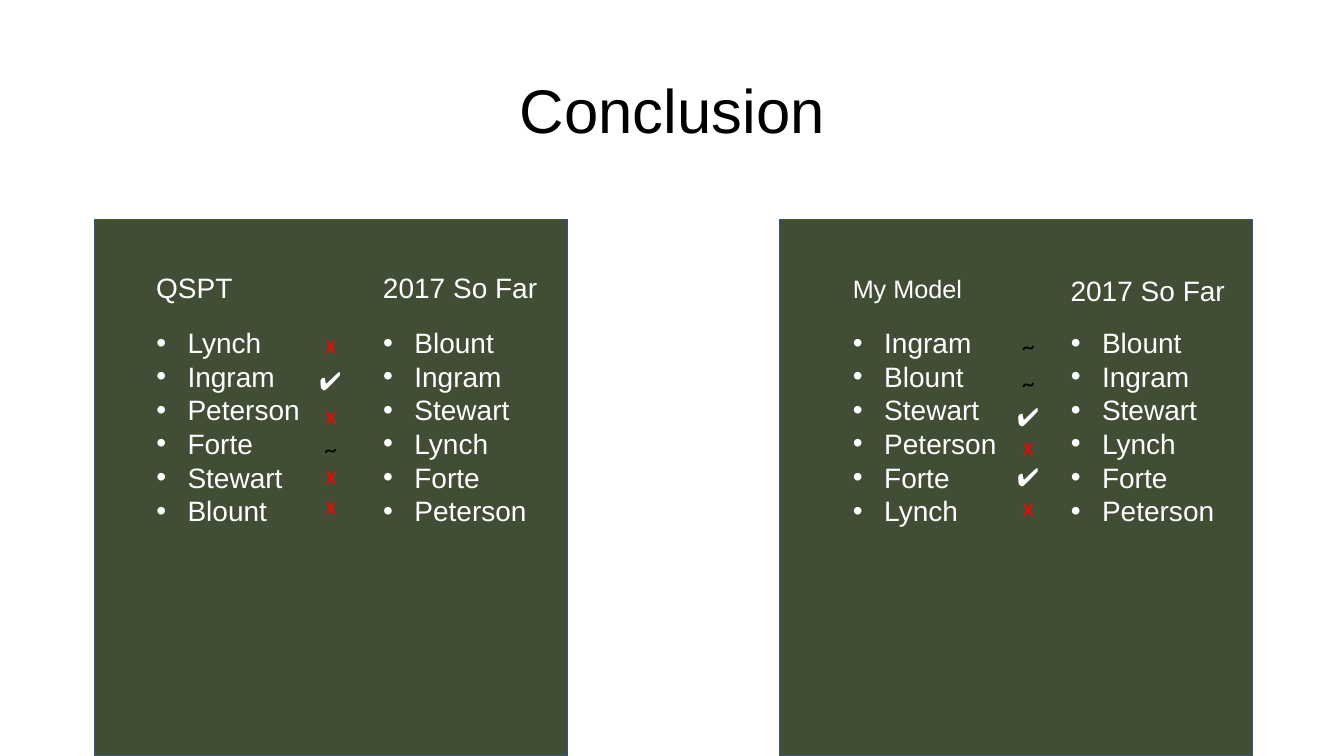
from pptx import Presentation
from pptx.dml.color import RGBColor
from pptx.enum.shapes import MSO_SHAPE as SHAPE
from pptx.enum.text import MSO_ANCHOR as ANCHOR, MSO_AUTO_SIZE as FIT, PP_ALIGN as ALIGN
from pptx.oxml.xmlchemy import OxmlElement
from pptx.util import Inches, Pt

PANEL_TOP, PANEL_W, PANEL_H = 2.18, 4.69, 5.32
LIST_TOP, LIST_W, LIST_H = 3.18, 3.34, 2.12
INDENT = 0.31
WHITE = "FFFFFF"

# Symbol: (colour, offset in the mark column, width)
MARKS = {"x": ("FF0000", 0.06, 0.31), "~": ("000000", 0.05, 0.33), "✔️": (WHITE, 0, 0.48)}
ACTUAL = ["Blount", "Ingram", "Stewart", "Lynch", "Forte", "Peterson"]

# Each panel compares one ranking with the season's actual order
PANELS = [
    dict(left=0.94, rank_x=1.45, mark_x=3.07, actual_x=3.7, head_y=2.63,
         head="QSPT", head_w=0.97, head_size=20,
         ranking=["Lynch", "Ingram", "Peterson", "Forte", "Stewart", "Blount"],
         marks=[("x", 3.21), ("✔️", 3.58), ("x", 3.91), ("~", 4.25), ("x", 4.51), ("x", 4.81)]),
    dict(left=7.73, rank_x=8.36, mark_x=9.99, actual_x=10.52, head_y=2.66,
         head="My Model", head_w=1.34, head_size=18,
         ranking=["Ingram", "Blount", "Stewart", "Peterson", "Forte", "Lynch"],
         marks=[("~", 3.23), ("~", 3.59), ("✔️", 3.93), ("x", 4.22), ("✔️", 4.53), ("x", 4.83)]),
]


def rgb(code):
    return RGBColor.from_string(code)


def place(sp, x, y, w, h):
    sp.left, sp.top, sp.width, sp.height = map(Inches, (x, y, w, h))


def write(p, text, size=20, font="Arial", color=WHITE):
    r = p.add_run()
    r.text = text
    r.font.size, r.font.name, r.font.bold = Pt(size), font, False
    r.font.color.rgb = rgb(color)


def add_bullet(p):
    pPr = p._p.get_or_add_pPr()
    pPr.set("marL", str(Inches(INDENT)))
    pPr.set("indent", str(-Inches(INDENT)))
    for tag, attr, value in (("a:buFont", "typeface", "Arial"), ("a:buChar", "char", "•")):
        el = OxmlElement(tag)
        el.set(attr, value)
        pPr.append(el)


def add_title(s, text):
    sp = s.shapes.title
    place(sp, 0.92, 0.4, 11.5, 1.45)
    tf = sp.text_frame
    tf.vertical_anchor, tf.auto_size = ANCHOR.MIDDLE, FIT.NONE
    p = tf.paragraphs[0]
    p.alignment, p.line_spacing = ALIGN.CENTER, 0.9
    write(p, text, size=44, color="000000")


def add_panel(s, x):
    sp = s.shapes.add_shape(SHAPE.RECTANGLE, *map(Inches, (x, PANEL_TOP, PANEL_W, PANEL_H)))
    sp.shadow.inherit = False
    sp.fill.solid()
    sp.fill.fore_color.rgb = rgb("424D36")
    sp.line.color.rgb = rgb("325491")
    sp.line.width = Pt(1)
    # Panels lie behind the list placeholders
    s.shapes._spTree.insert(2, sp._element)


def fill_list(sp, x, names):
    place(sp, x, LIST_TOP, LIST_W, LIST_H)
    tf = sp.text_frame
    tf.vertical_anchor, tf.auto_size = ANCHOR.TOP, FIT.SHAPE_TO_FIT_TEXT
    for i, name in enumerate(names):
        p = tf.add_paragraph() if i else tf.paragraphs[0]
        p.space_before, p.line_spacing = Pt(0), 1.0
        add_bullet(p)
        write(p, name)


def add_label(s, x, y, w, text, h=0.4, wrap=False, **style):
    tf = s.shapes.add_textbox(*map(Inches, (x, y, w, h))).text_frame
    tf.word_wrap, tf.auto_size = wrap, FIT.SHAPE_TO_FIT_TEXT
    write(tf.paragraphs[0], text, **style)


def main():
    prs = Presentation()
    prs.slide_width, prs.slide_height = Inches(13.33), Inches(7.5)
    s = prs.slides.add_slide(prs.slide_layouts.get_by_name("Comparison"))
    add_title(s, "Conclusion")
    bodies = iter([ph for ph in s.placeholders if ph.placeholder_format.idx])

    for panel in PANELS:
        add_panel(s, panel["left"])

        # Rankings side by side
        fill_list(next(bodies), panel["rank_x"], panel["ranking"])
        fill_list(next(bodies), panel["actual_x"], ACTUAL)

        # Column headings
        add_label(s, panel["rank_x"], panel["head_y"], panel["head_w"], panel["head"],
                  size=panel["head_size"])
        add_label(s, panel["actual_x"], panel["head_y"], 1.8, "2017 So Far", h=0.44, wrap=True)

        # Hit, near and miss marks
        for symbol, y in panel["marks"]:
            color, dx, w = MARKS[symbol]
            add_label(s, panel["mark_x"] + dx, y, w, symbol, size=18, font="Calibri", color=color)

    prs.save("out.pptx")


if __name__ == "__main__":
    main()
